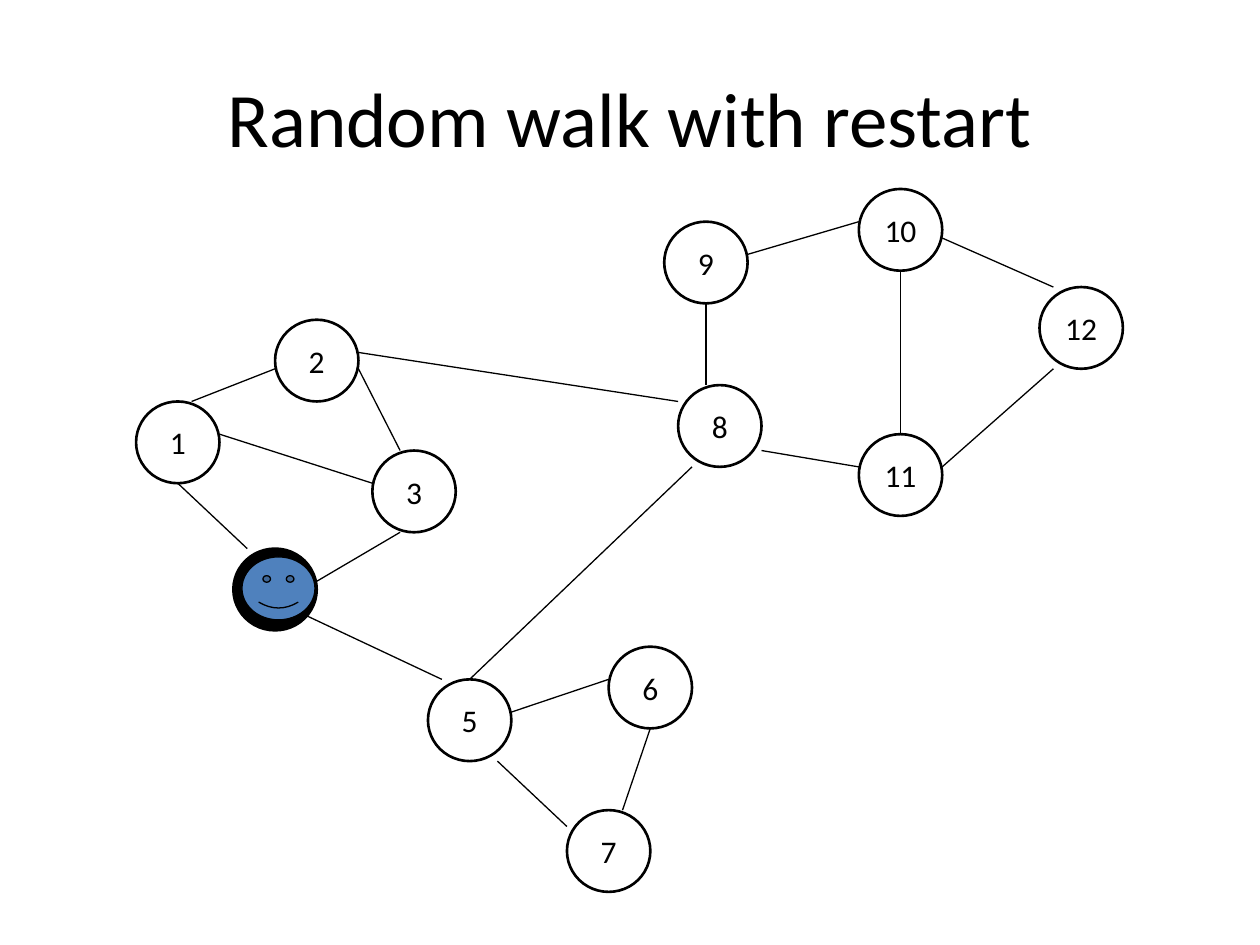
import lxml.etree
import pptx
import pptx.dml.color
import pptx.enum.shapes
import pptx.enum.text
import pptx.oxml.ns
import pptx.util

BLACK = pptx.dml.color.RGBColor(0x00, 0x00, 0x00)
WHITE = pptx.dml.color.RGBColor(0xFF, 0xFF, 0xFF)
BLUE = pptx.dml.color.RGBColor(0x4F, 0x81, 0xBD)

presentation = pptx.Presentation()
presentation.slide_width = pptx.util.Inches(10)
presentation.slide_height = pptx.util.Inches(7.5)
slide = presentation.slides.add_slide(presentation.slide_layouts[5])

# The graph lies on a grid of 65 columns by 38 rows, counted from node corners.
LEFT, TOP = pptx.util.Inches(1.08), pptx.util.Inches(1.5)
COLUMN = pptx.util.Inches(7.17) / 65
ROW = pptx.util.Inches(4.93) / 38
NODE_COLUMNS, NODE_ROWS = 6, 5
WALKER_NODE = 4

NODES = {  # number: (column, row) of the upper left corner
    1: (0, 13), 4: (7, 22), 3: (17, 16), 2: (10, 8),
    5: (21, 30), 6: (34, 28), 7: (31, 38), 9: (38, 2),
    10: (52, 0), 8: (39, 12), 11: (52, 15), 12: (65, 6),
}
EDGES = [  # (column, row) of both ends
    ((3, 18), (8, 22)), ((6, 15), (17, 18)), ((4, 13), (10, 11)),
    ((16, 11), (19, 16)), ((13, 24), (19, 21)), ((12, 26), (22, 30)),
    ((27, 32), (34, 30)), ((26, 35), (31, 39)), ((37, 33), (35, 38)),
    ((45, 16), (52, 17)), ((58, 17), (66, 11)), ((58, 3), (66, 6)),
    ((44, 4), (52, 2)), ((41, 7), (41, 12)), ((55, 5), (55, 15)),
    ((16, 10), (39, 13)), ((24, 30), (40, 17)),
]


def write_text(shape, text, size, color=BLACK, wrap=True):
    frame = shape.text_frame
    frame.word_wrap = wrap
    frame.vertical_anchor = pptx.enum.text.MSO_ANCHOR.MIDDLE
    paragraph = frame.paragraphs[0]
    paragraph.alignment = pptx.enum.text.PP_ALIGN.CENTER
    run = paragraph.add_run()
    run.text = text
    run.font.name = "Calibri"
    run.font.size = pptx.util.Pt(size)
    run.font.color.rgb = color


def grid_point(column, row):
    return round(LEFT + column * COLUMN), round(TOP + row * ROW)


title = slide.shapes.title
title.left, title.top = pptx.util.Inches(0.5), pptx.util.Inches(0.3)
title.width, title.height = pptx.util.Inches(9), pptx.util.Inches(1.25)
write_text(title, "Random walk with restart", size=44)

graph = slide.shapes.add_group_shape()
for number, corner in NODES.items():
    node = graph.shapes.add_shape(
        pptx.enum.shapes.MSO_SHAPE.OVAL, *grid_point(*corner),
        round(NODE_COLUMNS * COLUMN), round(NODE_ROWS * ROW))
    node.shadow.inherit = False
    node.fill.solid()
    node.fill.fore_color.rgb = BLACK if number == WALKER_NODE else WHITE
    node.line.color.rgb = BLACK
    node.line.width = pptx.util.Pt(1.5)
    if number != WALKER_NODE:
        write_text(node, str(number), size=18, wrap=False)

for start, end in EDGES:
    edge = graph.shapes.add_connector(
        pptx.enum.shapes.MSO_CONNECTOR.STRAIGHT, *grid_point(*start), *grid_point(*end))
    edge.line.color.rgb = BLACK
    edge.line.width = pptx.util.Pt(0.75)
    lxml.etree.SubElement(edge._element.spPr, pptx.oxml.ns.qn("a:effectLst"))

walker = slide.shapes.add_shape(
    pptx.enum.shapes.MSO_SHAPE.SMILEY_FACE,
    pptx.util.Inches(1.92), pptx.util.Inches(4.42),
    pptx.util.Inches(0.58), pptx.util.Inches(0.5))
walker.shadow.inherit = False
walker.fill.solid()
walker.fill.fore_color.rgb = BLUE
walker.line.color.rgb = BLACK
walker.line.width = pptx.util.Pt(0.75)

presentation.save("out.pptx")
